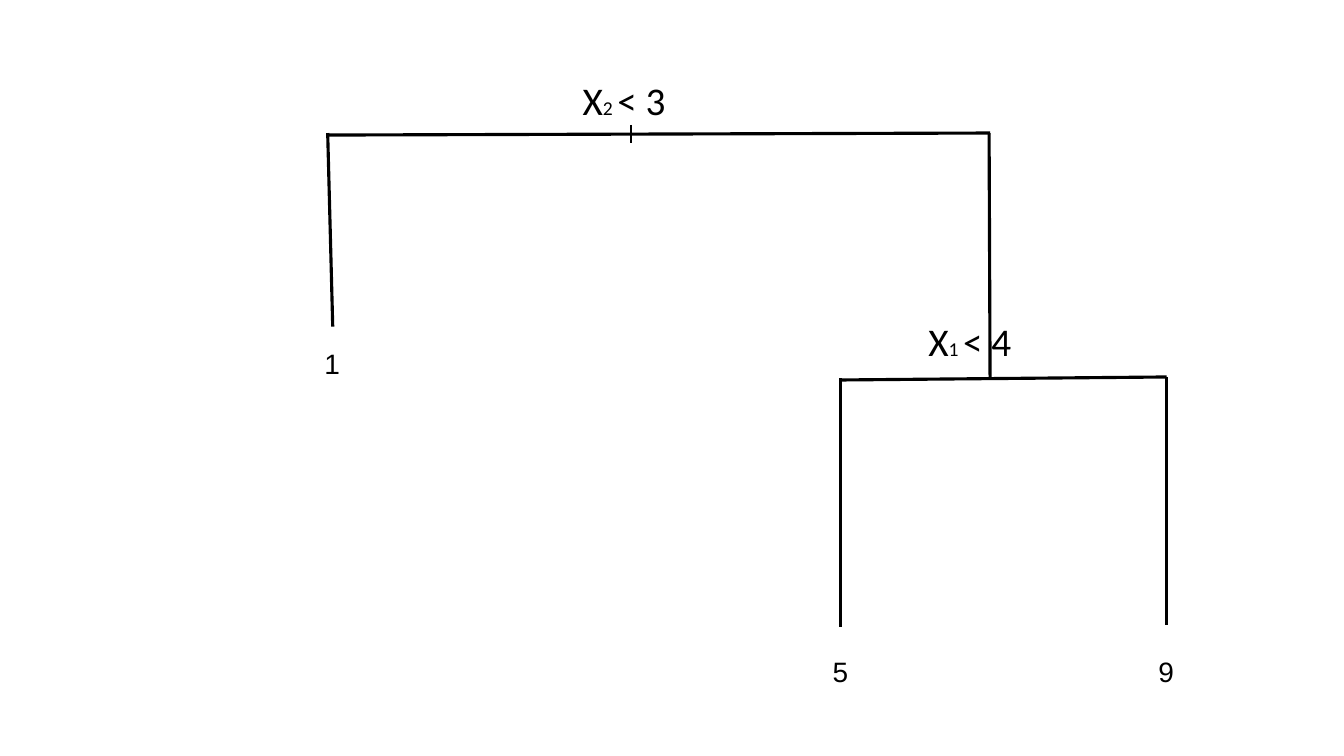
from lxml import etree
from pptx import Presentation
from pptx.dml.color import RGBColor
from pptx.enum.shapes import MSO_CONNECTOR
from pptx.enum.text import MSO_AUTO_SIZE
from pptx.oxml.ns import qn
from pptx.util import Inches, Pt

STRAIGHT = MSO_CONNECTOR.STRAIGHT
GROW = MSO_AUTO_SIZE.SHAPE_TO_FIT_TEXT
BLACK = "000000"
BRANCH_WIDTH, TICK_WIDTH = 2.25, 1.5

TICK = [((6.26, 1.24), (6.26, 1.42))]
BRANCHES = [
    ((3.25, 1.34), (9.82, 1.32)),
    ((3.3, 3.24), (3.25, 1.32)),
    ((8.34, 3.77), (11.57, 3.74)),
    ((9.82, 3.74), (9.81, 1.32)),
    ((11.57, 6.2), (11.57, 3.74)),
    ((8.34, 6.22), (8.34, 3.75)),
]
SPLITS = [("2 ", "< 3", 5.68, 0.71), ("1 ", "< 4", 9.11, 3.1)]
LEAVES = [("5", 8.16, 6.44), ("9", 11.39, 6.44), ("1", 3.12, 3.39)]
SPLIT_SIZE, LEAF_SIZE = (1.16, 0.57), (0.37, 0.44)


def color(value):
    return RGBColor.from_string(value)


def add_line(slide, start, end, width):
    x1, y1, x2, y2 = (Inches(v) for v in (*start, *end))
    line = slide.shapes.add_connector(STRAIGHT, x1, y1, x2, y2)
    line.line.color.rgb = color(BLACK)
    line.line.width = Pt(width)
    etree.SubElement(line._element.spPr, qn("a:effectLst"))


def add_label(slide, left, top, size, font, runs):
    box = slide.shapes.add_textbox(*(Inches(v) for v in (left, top, *size)))
    tf = box.text_frame
    tf.word_wrap = True
    tf.auto_size = GROW
    p = tf.paragraphs[0]
    for text, points in runs:
        r = p.add_run()
        r.text = text
        r.font.name = font
        r.font.size = Pt(points)
        r.font.color.rgb = color(BLACK)


def main():
    prs = Presentation()
    prs.slide_width, prs.slide_height = Inches(13.33), Inches(7.5)
    slide = prs.slides.add_slide(prs.slide_layouts[6])

    for lines, width in ((TICK, TICK_WIDTH), (BRANCHES, BRANCH_WIDTH)):
        for start, end in lines:
            add_line(slide, start, end, width)
    for index, test, left, top in SPLITS:
        runs = [("X", 28), (index, 14), (test, 28)]
        add_label(slide, left, top, SPLIT_SIZE, "Calibri", runs)
    for value, left, top in LEAVES:
        add_label(slide, left, top, LEAF_SIZE, "Arial", [(value, 20)])

    prs.save("out.pptx")


if __name__ == "__main__":
    main()
